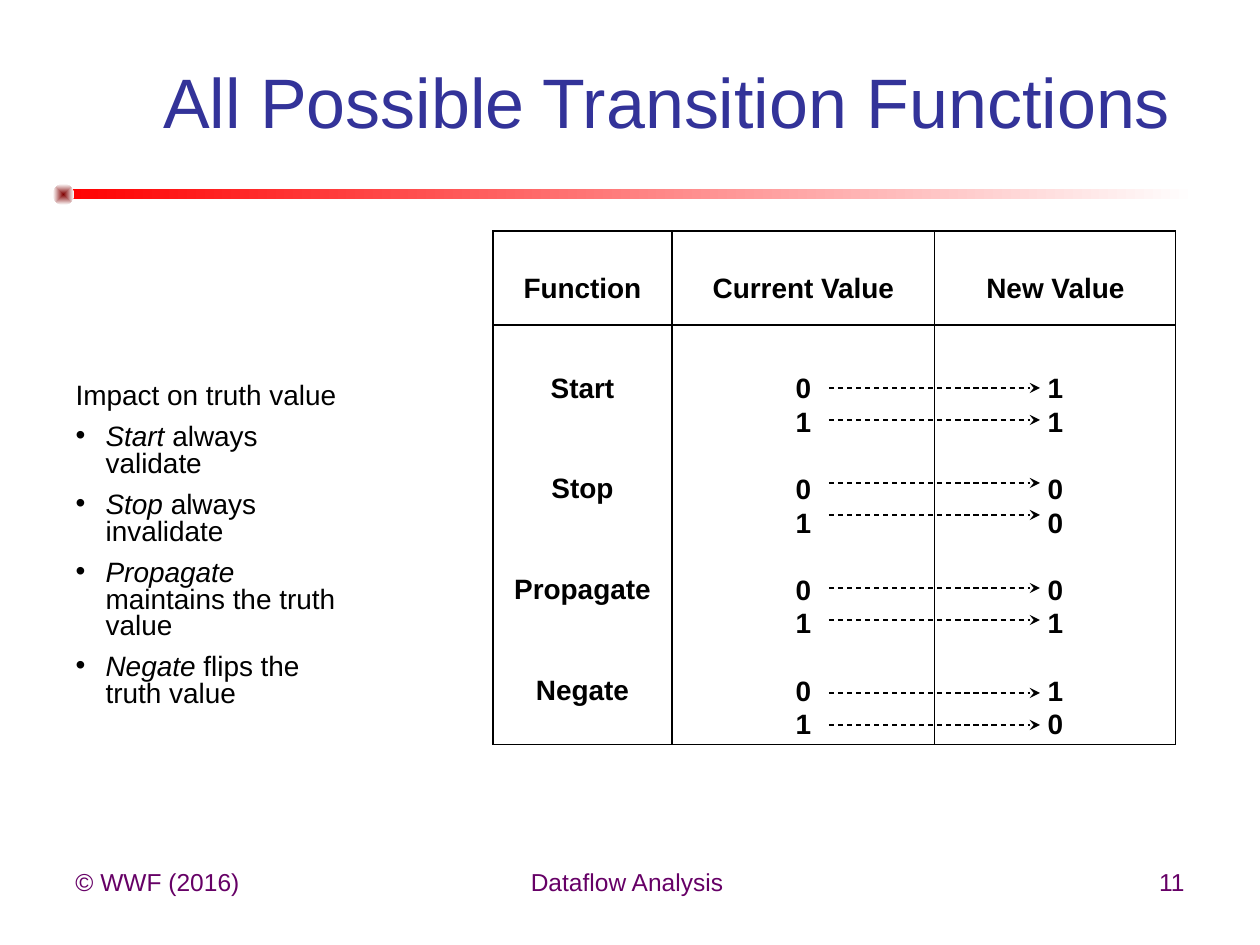
import pptx
import pptx.util
import pptx.dml.color
import pptx.enum.dml
import pptx.enum.shapes
import pptx.enum.text
import pptx.oxml.ns
import lxml.etree

SCALE = 914400 // 126
FONT = "Arial"
COLORS = {
    "title": "333399",
    "text": "000000",
    "foot": "660066",
    "bar": "FF0000",
    "dot": "800000",
    "fade": "FFFFFF",
}
ALIGN = pptx.enum.text.PP_ALIGN
ANCHOR = pptx.enum.text.MSO_ANCHOR
SHAPE = pptx.enum.shapes.MSO_SHAPE
ROWS = [
    ("Start", "01", "11"),
    ("Stop", "01", "00"),
    ("Propagate", "01", "01"),
    ("Negate", "01", "10"),
]
POINTS = [
    ("Start", " always validate"),
    ("Stop", " always invalidate"),
    ("Propagate", " maintains the truth value"),
    ("Negate", " flips the truth value"),
]


def px(*nums):
    """Turn px lengths into EMU."""
    return [pptx.util.Emu(num * SCALE) for num in nums]


def rgb(name):
    """Look up a named colour."""
    return pptx.dml.color.RGBColor.from_string(COLORS[name])


def node(base, tag, **attrs):
    """Add a drawing element under base."""
    return lxml.etree.SubElement(base, pptx.oxml.ns.qn("a:" + tag), attrs)


def style(para, size, color="text", align=ALIGN.LEFT, bold=False):
    """Set the font and alignment of a paragraph."""
    para.alignment = align
    font = para.font
    font.name, font.size, font.bold = FONT, pptx.util.Pt(size), bold
    font.color.rgb = rgb(color)


def place(shape, *box):
    """Move a shape to a px box."""
    shape.left, shape.top, shape.width, shape.height = px(*box)


def add_title(slide, text):
    """Fill the title placeholder."""
    title = slide.shapes.title
    place(title, 126, 63, 1081, 76)
    frame = title.text_frame
    frame.text = text
    frame.auto_size = pptx.enum.text.MSO_AUTO_SIZE.NONE
    frame.vertical_anchor = ANCHOR.MIDDLE
    style(frame.paragraphs[0], 40, "title", ALIGN.CENTER)


def add_shade(slide, kind, box, start):
    """Add a shape that fades from a colour to white."""
    shape = slide.shapes.add_shape(kind, *px(*box))
    shape.shadow.inherit = False
    shape.line.fill.background()
    shape.fill.gradient()
    shape.fill.gradient_angle = 0
    for stop, name in zip(shape.fill.gradient_stops, (start, "fade")):
        stop.color.rgb = rgb(name)
    return shape


def add_dot(slide):
    """Add the marker that fades from its centre."""
    dot = add_shade(slide, SHAPE.OVAL, (53, 184, 21, 21), "dot")
    grad = dot._element.spPr.find(pptx.oxml.ns.qn("a:gradFill"))
    grad.remove(grad.find(pptx.oxml.ns.qn("a:lin")))
    way = node(grad, "path", path="shape")
    node(way, "fillToRect", **dict.fromkeys("ltrb", "50000"))


def add_foot(slide, text, left, width, align):
    """Add one footer text."""
    box = slide.shapes.add_textbox(*px(left, 861, width, 65))
    box.text_frame.word_wrap = True
    para = box.text_frame.paragraphs[0]
    para.text = text
    style(para, 14, "foot", align)


def add_list(slide, lead, points):
    """Fill the body with a lead line and bullets."""
    body = slide.placeholders[1]
    place(body, 63, 378, 305, 295)
    frame = body.text_frame
    frame.auto_size = pptx.enum.text.MSO_AUTO_SIZE.NONE
    frame.vertical_anchor = ANCHOR.TOP
    for index, (term, rest) in enumerate([("", lead)] + points):
        para = frame.add_paragraph() if index else frame.paragraphs[0]
        props = para._p.get_or_add_pPr()
        indent = px(30)[0] if index else 0
        props.set("marL", str(indent))
        props.set("indent", str(-indent))
        if index:
            node(props, "buChar", char="•")
            run = para.add_run()
            run.text, run.font.italic = term, True
        else:
            node(props, "buNone")
        para.add_run().text = rest
        para.line_spacing = 0.8
        para.space_before = pptx.util.Pt(8 if index else 0)
        style(para, 16)


def set_edge(cell, sides):
    """Draw the given sides of a cell and clear the rest."""
    props = cell._tc.get_or_add_tcPr()
    for index, side in enumerate("LRTB"):
        edge = node(props, "ln" + side, w="9525")
        if side in sides:
            node(node(edge, "solidFill"), "srgbClr", val=COLORS["text"])
        else:
            node(edge, "noFill")
        props.insert(index, edge)


def fill_cell(cell, lines, low, sides):
    """Write centred lines into a cell, low px above its base."""
    cell.fill.background()
    set_edge(cell, sides)
    cell.vertical_anchor = ANCHOR.BOTTOM
    cell.margin_left, cell.margin_right, cell.margin_top, cell.margin_bottom = px(0, 0, 0, low)
    cell.text = "\n".join(lines)
    for para in cell.text_frame.paragraphs:
        para.line_spacing = pptx.util.Pt(19.2)
        style(para, 16, align=ALIGN.CENTER, bold=True)


def add_grid(slide, heads, rows):
    """Add the table of functions and values."""
    grid = slide.shapes.add_table(len(rows) + 1, len(heads), *px(493, 231, 683, 514)).table
    grid.first_row = grid.horz_banding = False
    for col, width in zip(grid.columns, px(179, 263, 241)):
        col.width = width
    for row, height in zip(grid.rows, px(94, 117, 101, 101, 101)):
        row.height = height
    for col, head in enumerate(heads):
        fill_cell(grid.cell(0, col), [head], 21, "LRTB")
    for index, (name, *pairs) in enumerate(rows, 1):
        sides = "LR" + "T" * (index == 1) + "B" * (index == len(rows))
        fill_cell(grid.cell(index, 0), [name], 38, sides)
        for col, pair in enumerate(pairs, 1):
            fill_cell(grid.cell(index, col), pair, 4, sides)


def add_arrow(slide, top):
    """Add a dashed arrow from old to new value."""
    kind = pptx.enum.shapes.MSO_CONNECTOR.STRAIGHT
    arrow = slide.shapes.add_connector(kind, *px(829, top, 1040, top))
    arrow.line.color.rgb = rgb("text")
    arrow.line.width = pptx.util.Pt(0.75)
    arrow.line.dash_style = pptx.enum.dml.MSO_LINE.DASH
    node(arrow.line._get_or_add_ln(), "tailEnd", type="stealth")
    node(arrow._element.spPr, "effectLst")


def main():
    """Build and save the slide."""
    deck = pptx.Presentation()
    deck.slide_width, deck.slide_height = px(1260, 945)
    slide = deck.slides.add_slide(deck.slide_layouts[1])
    add_shade(slide, SHAPE.RECTANGLE, (63, 189, 1134, 10), "bar")
    add_dot(slide)
    add_title(slide, "All Possible Transition Functions")
    add_list(slide, "Impact on truth value", POINTS)
    add_grid(slide, ["Function", "Current Value", "New Value"], ROWS)
    for top in (388, 483, 588, 693):
        add_arrow(slide, top)
        add_arrow(slide, top + 32)
    add_foot(slide, "© WWF (2016)", 63, 294, ALIGN.LEFT)
    add_foot(slide, "Dataflow Analysis ", 431, 399, ALIGN.CENTER)
    add_foot(slide, "11", 903, 294, ALIGN.RIGHT)
    deck.save("out.pptx")


if __name__ == "__main__":
    main()
